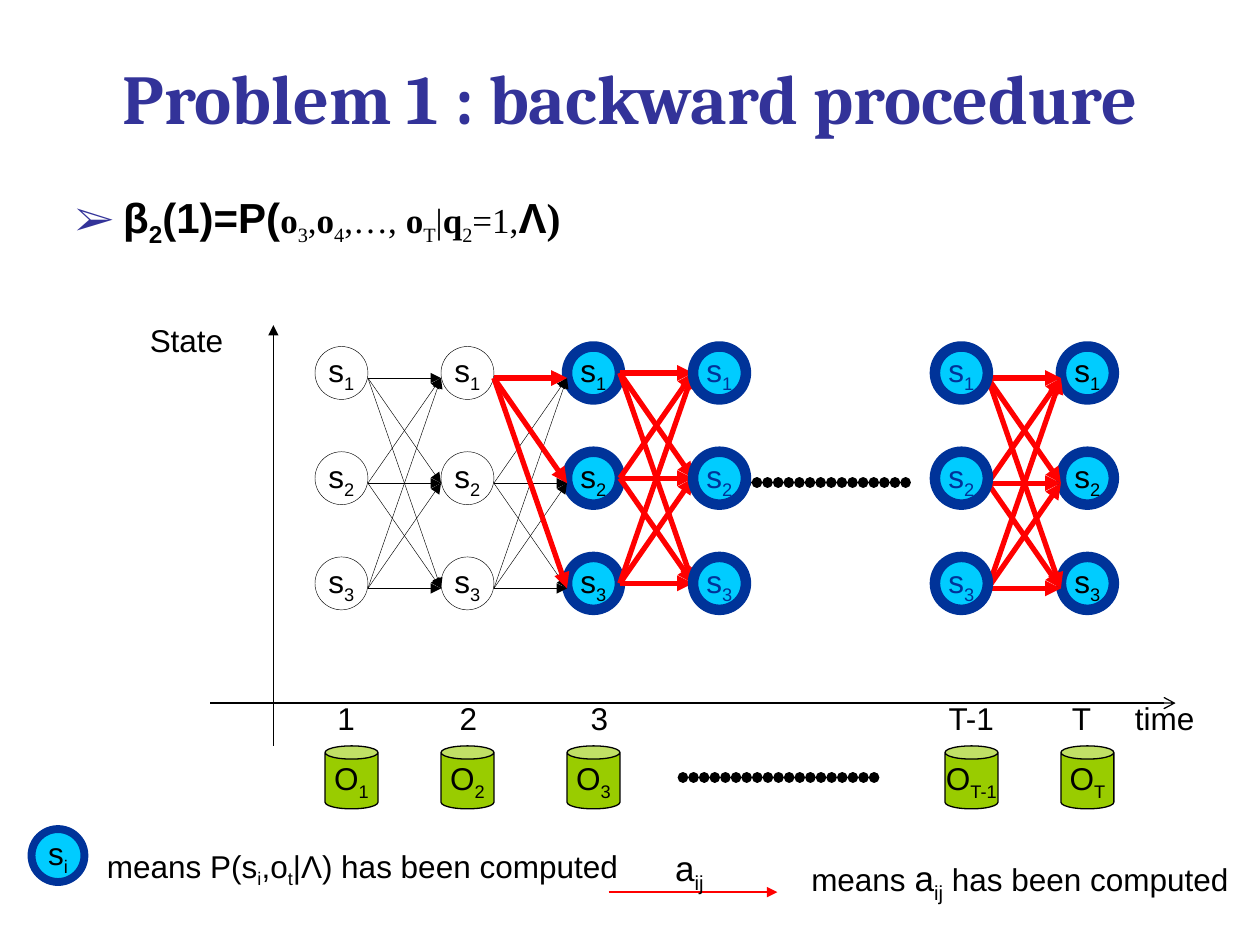
from lxml import etree
from pptx import Presentation
from pptx.dml.color import RGBColor
from pptx.enum.shapes import MSO_CONNECTOR, MSO_SHAPE
from pptx.enum.text import MSO_ANCHOR, PP_ALIGN
from pptx.oxml.ns import qn
from pptx.util import Inches, Pt

LINE = MSO_CONNECTOR.STRAIGHT
OVAL, CAN = MSO_SHAPE.OVAL, MSO_SHAPE.CAN
MID, TOP = MSO_ANCHOR.MIDDLE, MSO_ANCHOR.TOP
LEFT, CENTER = PP_ALIGN.LEFT, PP_ALIGN.CENTER
COLORS = {"title": "333399", "black": "000000", "navy": "003399",
          "cyan": "00CCFF", "green": "99CC00", "red": "FF0000"}
SUB = {"sub": True}
SIZE = 0.42
STEP = 0.835


def color(name):
    return RGBColor.from_string(COLORS[name])


def child(parent, tag, **attrs):
    return etree.SubElement(parent, qn(tag), attrs)


def write(shape, parts, size=18, font="Arial", ink="black", bold=False,
          align=LEFT, anchor=TOP, wrap=True):
    """Fill a shape with parts: strings, or pairs of string and own format."""
    frame = shape.text_frame
    frame.word_wrap = wrap
    frame.vertical_anchor = anchor
    para = frame.paragraphs[0]
    para.alignment = align
    for part in parts:
        text, own = (part, {}) if isinstance(part, str) else part
        run = para.add_run()
        run.text = text
        run.font.size = Pt(own.get("size", size))
        run.font.name = own.get("font", font)
        run.font.bold = own.get("bold", bold)
        run.font.color.rgb = color(ink)
        if own.get("sub"):
            run.font._element.set("baseline", "-25000")
    return para


def label(slide, box, parts, **fmt):
    return write(slide.shapes.add_textbox(*map(Inches, box)), parts, **fmt)


def token(slide, kind, x, y, parts, high=SIZE, fill=None, edge="black",
          width=0.25, ink="black"):
    """A state circle or an observation can with a centred symbol."""
    shape = slide.shapes.add_shape(
        kind, Inches(x), Inches(y), Inches(SIZE), Inches(high))
    shape.shadow.inherit = False
    if fill:
        shape.fill.solid()
        shape.fill.fore_color.rgb = color(fill)
    else:
        shape.fill.background()
    shape.line.color.rgb = color(edge)
    shape.line.width = Pt(width)
    write(shape, parts, ink=ink, align=CENTER, anchor=MID, wrap=False)


def stroke(slide, start, end, ink="black", width=0.75, head=None, dots=False):
    link = slide.shapes.add_connector(LINE, *map(Inches, (*start, *end)))
    link.line.color.rgb = color(ink)
    link.line.width = Pt(width)
    pen = link.line._get_or_add_ln()
    if dots:
        pen.set("cap", "rnd")
        child(child(pen, "a:custDash"), "a:ds", d="1000", sp="100000")
    if head:
        child(pen, "a:tailEnd", type=head)
    child(link._element.spPr, "a:effectLst")


def column(slide, x, y, done=True, ink="black"):
    """Three states at one time; done states are filled."""
    look = {"fill": "cyan", "edge": "navy", "width": 6} if done else {}
    for row in range(3):
        token(slide, OVAL, x, y + row * STEP, ["s", (str(row + 1), SUB)],
              ink=ink, **look)


def links(slide, x, y, done):
    """Arrows from each state to each next one; done gives the red rows."""
    pairs = [(i, j) for i in range(3) for j in range(3)]
    for i, j in sorted(pairs, key=lambda pair: pair[0] in done):
        look = {"ink": "red", "width": 3} if i in done else {"width": 0.25}
        stroke(slide, (x, y + i * STEP), (x + 0.58, y + j * STEP),
               head="triangle", **look)


def heading(slide, box):
    label(slide, box, ["Problem 1 : backward procedure"], size=40,
          font="Cambria", ink="title", bold=True, align=CENTER, anchor=MID)


def formula(slide, box):
    bold = {"bold": True}
    arial = {"font": "Arial", "size": 24, "bold": True}
    para = label(slide, box, [
        ("β", arial), ("2", {**arial, **SUB}), ("(1)=P(", arial),
        ("o", bold), ("3", SUB), ",", ("o", bold), ("4", SUB), ",…, ",
        ("o", bold), ("T", SUB), "|", ("q", bold), ("2", SUB), "=1,",
        ("Λ", arial), (")", {"size": 24, "bold": True})],
        size=20, font="Times New Roman")
    props = para._p.get_or_add_pPr()
    props.set("marL", str(Inches(0.38)))
    props.set("indent", str(-Inches(0.38)))
    child(child(props, "a:buClr"), "a:srgbClr", val=COLORS["title"])
    child(props, "a:buFont", typeface="Times New Roman")
    child(props, "a:buChar", char="➢")


def trellis(slide, box):
    x, y, wide, high = box
    low = y + high
    left, top, port = x + 0.83, y + 0.17, y + 0.42
    for step in range(3):
        column(slide, left + step, top, done=step == 2)
    links(slide, left + SIZE, port, ())
    links(slide, left + 1 + SIZE, port, (0,))
    links(slide, left + 2 + SIZE, port - 0.04, (0, 1, 2))
    column(slide, left + 5.92, top)
    links(slide, left + 4.92 + SIZE, port, (0, 1, 2))
    stroke(slide, (x + 4, y + 1.25), (x + 5.58, y + 1.25), width=6, dots=True)
    column(slide, left + 4.92, top, ink="navy")
    column(slide, left + 3, top, ink="navy")
    stroke(slide, (x, low), (x + wide, low), head="arrow")
    stroke(slide, (x + 0.5, low + 0.34), (x + 0.5, y), head="triangle")
    label(slide, (x - 0.58, y - 0.08, 0.95, 0.4), ["State"])


def timeline(slide, box):
    x, y, wide, high = box
    para = label(slide, (x, y, wide, 0.4), ["1\t2\t3\tT-1\tT\ttime"])
    tabs = child(para._p.get_or_add_pPr(), "a:tabLst")
    for stop in (0.97, 2.01, 4.85, 5.83, 6.33):
        child(tabs, "a:tab", pos=str(Inches(stop)), algn="l")
    cans = {"1": 0, "2": 0.92, "3": 1.92, "T-1": 4.92, "T": 5.84}
    for name, shift in cans.items():
        token(slide, CAN, x + shift, y + 0.42, ["O", (name, SUB)],
              high=high - 0.42, fill="green", width=0.75)
    dot = y + 0.67
    stroke(slide, (x + 2.84, dot), (x + 4.42, dot), width=6, dots=True)


def legend(slide, box):
    x, y, wide, high = box
    token(slide, OVAL, x, y, ["s", ("i", SUB)], fill="cyan", edge="navy",
          width=4.5)
    label(slide, (x + 0.5, y + 0.09, 4.45, 0.44),
          ["means P(s", ("i", SUB), ",o", ("t", SUB),
           "|Λ) has been computed"])
    stroke(slide, (x + 4.58, y + 0.5), (x + 5.92, y + 0.5), ink="red",
           head="triangle")
    label(slide, (x + 5.01, y + 0.09, 0.6, 0.48), ["a", ("ij", SUB)], size=20)
    label(slide, (x + 6.09, y + 0.17, wide - 6.09, high - 0.17),
          ["means ", ("a", {"size": 20}), ("ij", {"size": 20, "sub": True}),
           " has been computed"])


def main():
    deck = Presentation()
    deck.slide_width, deck.slide_height = Inches(10), Inches(7.5)
    slide = deck.slides.add_slide(deck.slide_layouts[6])
    heading(slide, (0.5, 0.3, 9, 0.93))
    formula(slide, (0.5, 1.47, 9.33, 0.6))
    trellis(slide, (1.67, 2.58, 7.66, 3))
    timeline(slide, (2.58, 5.5, 7.03, 0.92))
    legend(slide, (0.25, 6.58, 9.7, 0.65))
    deck.save("out.pptx")


if __name__ == "__main__":
    main()
